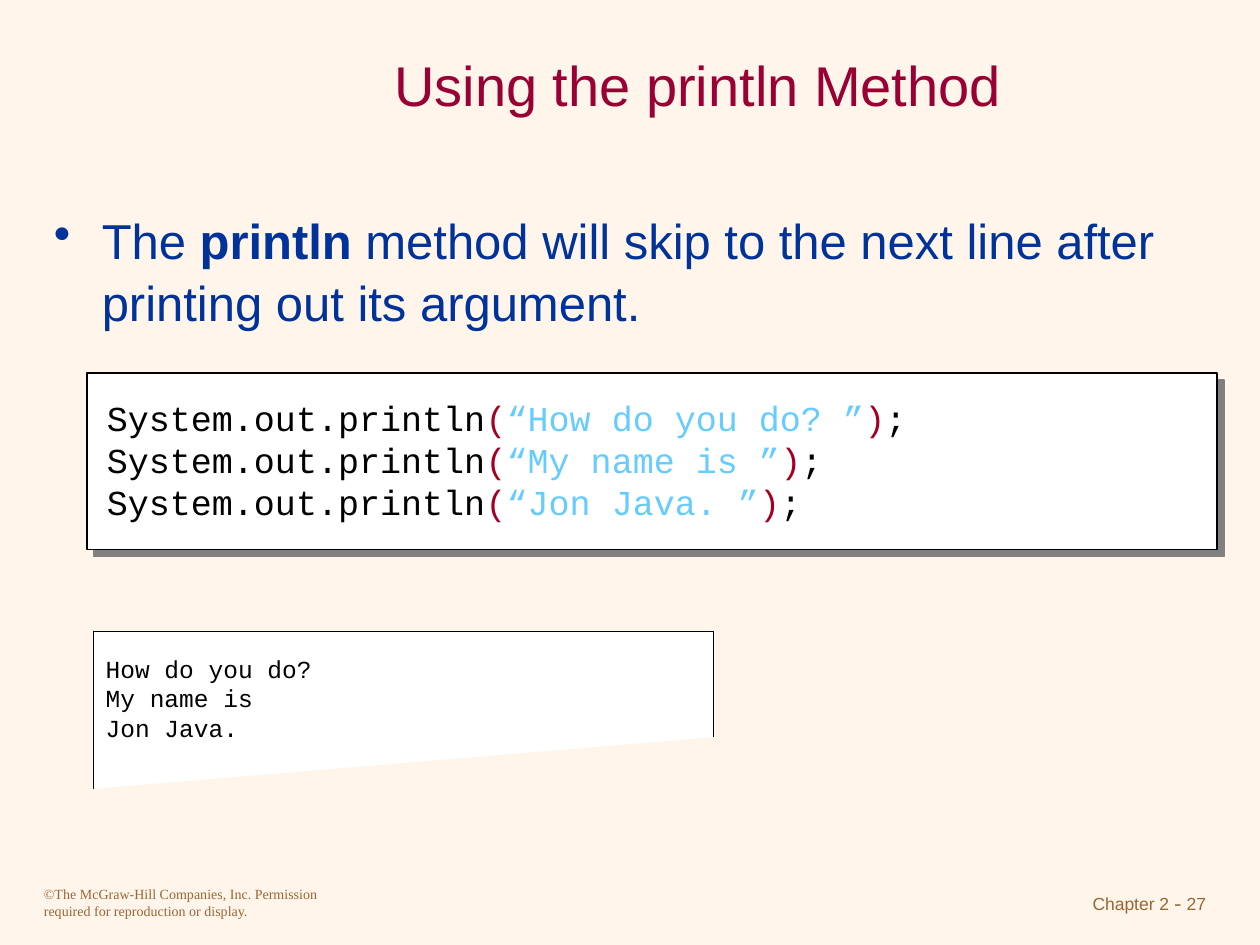
"""Build a slide that explains the println method with code and its output."""
from lxml import etree
from pptx import Presentation
from pptx import util as u
from pptx.dml.color import RGBColor
from pptx.enum import shapes, text
from pptx.oxml import parse_xml
from pptx.oxml.ns import nsdecls, qn

BACKGROUND, WHITE, BLACK = "FFF5EB", "FFFFFF", "000000"
TITLE, BODY, FOOTER = "990033", "003399", "996633"
BRACKET, STRING = "A50021", "66CCFF"


def color(value):
    return RGBColor.from_string(value)


def add_text(slide, box, paragraphs, size, font, default_color):
    shape = slide.shapes.add_textbox(*(u.Inches(value) for value in box))
    frame = shape.text_frame
    frame.word_wrap = True
    for index, runs in enumerate(paragraphs):
        paragraph = frame.paragraphs[0] if index == 0 else frame.add_paragraph()
        for words, run_color in runs:
            run = paragraph.add_run()
            run.text = words
            run.font.size = u.Pt(size)
            run.font.name = font
            run.font.color.rgb = color(run_color or default_color)
    return frame


presentation = Presentation()
presentation.slide_width = u.Inches(10)
presentation.slide_height = u.Inches(7.5)
slide = presentation.slides.add_slide(presentation.slide_layouts[6])
slide.background.fill.solid()
slide.background.fill.fore_color.rgb = color(BACKGROUND)

copyright_words = "©The McGraw-Hill Companies, Inc. Permission required for reproduction or display."
copyright_frame = add_text(slide, (0.25, 6.83, 2.5, 0.5), [[(copyright_words, None)]],
                           8, "Times New Roman", FOOTER)
copyright_frame.margin_top = u.Inches(0.2)

number_runs = [("Chapter 2", None), (" - ", None), ("27", None)]
number_frame = add_text(slide, (7.5, 6.83, 2.17, 0.5), [number_runs], 10, "Arial", FOOTER)
number_frame.margin_top = u.Inches(0.23)
number_frame.paragraphs[0].alignment = text.PP_ALIGN.RIGHT
dash = number_frame.paragraphs[0].runs[1]
dash.font.size = u.Pt(12)
dash.font.name = "Times New Roman"

title_frame = add_text(slide, (1.5, 0.25, 8.08, 0.83), [[("Using the println Method", None)]],
                       32, "Arial", TITLE)
title_frame.vertical_anchor = text.MSO_ANCHOR.MIDDLE
title_frame.paragraphs[0].alignment = text.PP_ALIGN.CENTER

body_runs = [("The ", None), ("println", None),
             (" method will skip to the next line after printing out its argument.", None)]
body_frame = add_text(slide, (0.33, 1.58, 9.33, 1.42), [body_runs], 28, "Arial", BODY)
body_frame.margin_top = u.Inches(0.07)
body = body_frame.paragraphs[0]
body.line_spacing = 1.05
body.runs[1].font.bold = True
properties = body._p.get_or_add_pPr()
properties.set("marL", str(u.Inches(0.38)))
properties.set("indent", str(u.Inches(-0.38)))
etree.SubElement(properties, qn("a:buChar")).set("char", "•")

code_panel = slide.shapes.add_shape(shapes.MSO_SHAPE.RECTANGLE, u.Inches(0.69), u.Inches(2.96),
                                    u.Inches(8.97), u.Inches(1.4))

builder = slide.shapes.build_freeform(u.Inches(0.74), u.Inches(6.26))
corners = [(0.74, 5.01), (5.66, 5.01), (5.66, 5.85)]
builder.add_line_segments([(u.Inches(x), u.Inches(y)) for x, y in corners], close=False)
output_panel = builder.convert_to_shape()

for panel in (code_panel, output_panel):
    panel.shadow.inherit = False
    panel.fill.solid()
    panel.fill.fore_color.rgb = color(WHITE)
    panel.line.color.rgb = color(BLACK)
    panel.line.width = u.Pt(0.75)

effects = code_panel._element.spPr.find(qn("a:effectLst"))
effects.append(parse_xml(
    f'<a:outerShdw {nsdecls("a")} dist="{u.Pt(5.7)}" dir="2700000" algn="ctr" rotWithShape="0">'
    '<a:srgbClr val="808080"/></a:outerShdw>'))

messages = ["How do you do?", "My name is", "Jon Java."]
code_lines = [[("System.out.println", None), ("(", BRACKET), (f"“{message} ”", STRING),
               (")", BRACKET), (";", None)] for message in messages]
add_text(slide, (0.75, 3.1, 8.74, 1.1), code_lines, 20, "Courier New", BLACK)

output_lines = [[(message, None)] for message in messages]
output_frame = add_text(slide, (0.74, 5.14, 1.95, 0.8), output_lines, 14, "Courier New", BLACK)
output_frame.word_wrap = False

presentation.save("out.pptx")
